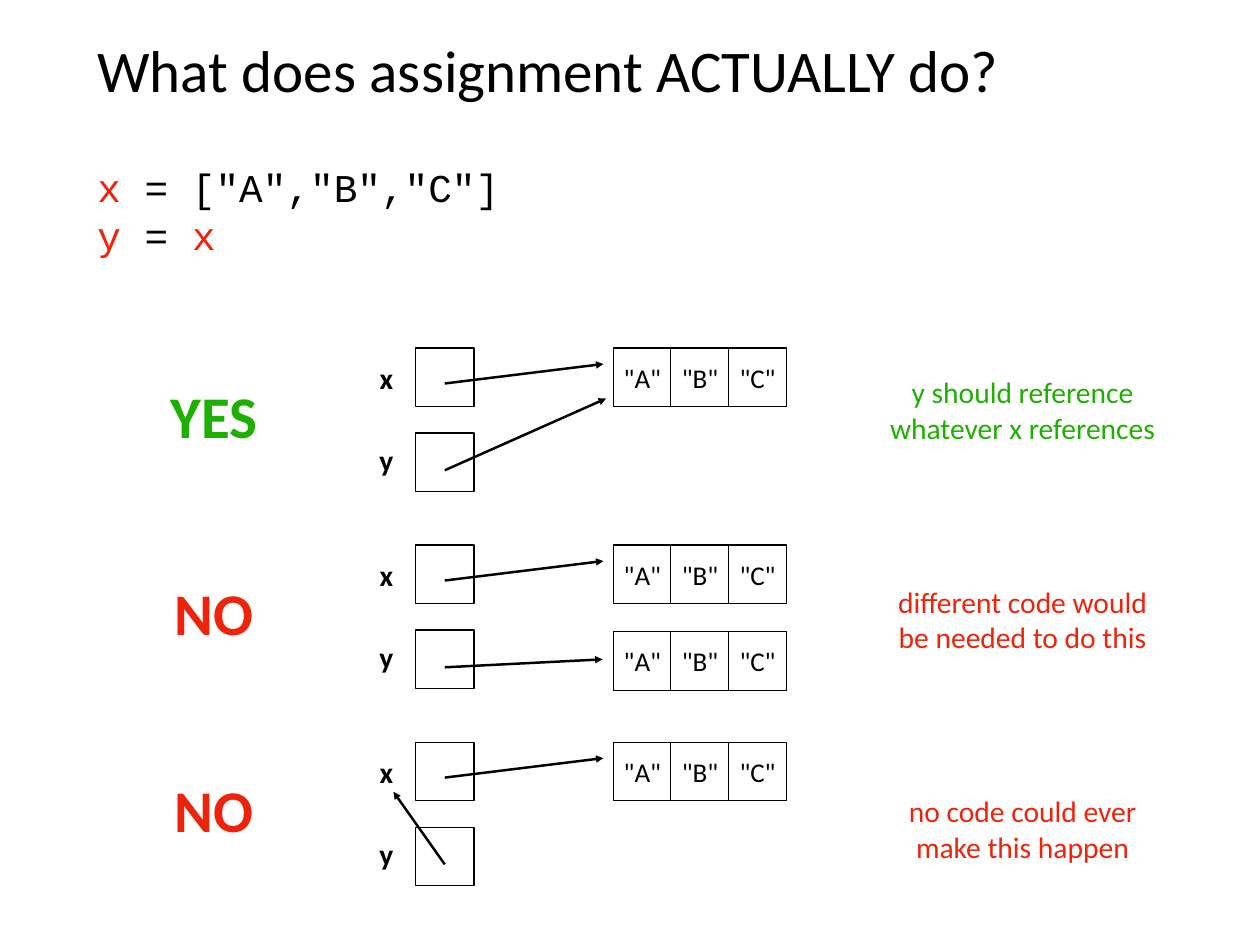
from dataclasses import dataclass

from lxml import etree
from pptx import Presentation
from pptx.dml.color import RGBColor
from pptx.enum.shapes import MSO_CONNECTOR, MSO_SHAPE
from pptx.enum.text import MSO_ANCHOR, PP_ALIGN
from pptx.oxml.ns import qn
from pptx.util import Inches, Pt

RECTANGLE = MSO_SHAPE.RECTANGLE
STRAIGHT = MSO_CONNECTOR.STRAIGHT
TOP, MIDDLE = MSO_ANCHOR.TOP, MSO_ANCHOR.MIDDLE
LEFT, CENTER = PP_ALIGN.LEFT, PP_ALIGN.CENTER


@dataclass(frozen=True)
class Theme:
    black: RGBColor = RGBColor(0x00, 0x00, 0x00)
    white: RGBColor = RGBColor(0xFF, 0xFF, 0xFF)
    red: RGBColor = RGBColor(0xEE, 0x23, 0x0C)
    green: RGBColor = RGBColor(0x1E, 0xB0, 0x01)
    font: str = "Calibri"
    code_font: str = "Courier New"
    heading: int = 48
    code: int = 32
    body: int = 24
    item: int = 22
    code_pitch: int = 39
    inset: float = 0.06


THEME = Theme()

TITLE = "What does assignment ACTUALLY do?"
CODE = [
    [("x", THEME.red), (' = ["A","B","C"]', THEME.black)],
    [("y", THEME.red), (" = ", THEME.black), ("x", THEME.red)],
]
ITEMS = ['"A"', '"B"', '"C"']
VARIABLES = ["x", "y"]
CASES = [
    ("YES", THEME.green, ["y should reference", "whatever x references"], 1, (6.84, 0.57)),
    ("NO", THEME.red, ["different code would", "be needed to do this"], 2, (6.80, 1.29)),
    ("NO", THEME.red, ["no code could ever", "make this happen"], 1, (4.44, 0.56)),
]

SLIDE_W, SLIDE_H = 14.22, 10.67
MARGIN, CONTENT_W = 1.04, 12.14
CASE_TOP, CASE_PITCH = 3.93, 2.225
NOTE_TOP, NOTE_PITCH = 4.18, 2.365
CELL, ITEM_PITCH = 0.66, 0.65
VARIABLE_PITCH, LABEL_PITCH, LIST_PITCH = 0.96, 0.93, 0.98
VARIABLE_LEFT, LIST_LEFT = 4.69, 6.92
VERDICT_CENTER, LABEL_CENTER, NOTE_CENTER = 2.42, 4.36, 11.54
ARROW_LEFT = VARIABLE_LEFT + CELL / 2
X_START, Y_START, X_TARGET = 0.40, 1.38, (6.81, 0.18)


def write(frame, lines, size, color, align=CENTER, anchor=MIDDLE, bold=False):
    frame.margin_left = frame.margin_right = Inches(THEME.inset)
    frame.margin_top = frame.margin_bottom = Inches(THEME.inset)
    frame.vertical_anchor = anchor
    for index, line in enumerate(lines):
        paragraph = frame.add_paragraph() if index else frame.paragraphs[0]
        paragraph.alignment = align
        paragraph.font.name = THEME.font
        paragraph.font.size = Pt(size)
        paragraph.font.bold = bold
        paragraph.font.color.rgb = color
        paragraph.add_run().text = line


def add_text(slide, left, top, width, height, lines, size, color, **style):
    frame = slide.shapes.add_textbox(*map(Inches, (left, top, width, height))).text_frame
    frame.word_wrap = True
    write(frame, lines, size, color, **style)


def add_centered(slide, center, top, width, height, lines, size, color, bold=False):
    add_text(slide, center - width / 2, top, width, height, lines, size, color, bold=bold)


def add_code(slide):
    frame = slide.shapes.add_textbox(*map(Inches, (MARGIN, 1.77, CONTENT_W, 1.5))).text_frame
    frame.word_wrap = True
    write(frame, [""] * len(CODE), THEME.code, THEME.black, align=LEFT, anchor=TOP)
    for paragraph, tokens in zip(frame.paragraphs, CODE):
        paragraph.clear()
        paragraph.font.name = THEME.code_font
        paragraph.line_spacing = Pt(THEME.code_pitch)
        for token, color in tokens:
            run = paragraph.add_run()
            run.text = token
            run.font.color.rgb = color


def add_cell(slide, left, top, item=None):
    cell = slide.shapes.add_shape(RECTANGLE, *map(Inches, (left, top, CELL, CELL)))
    cell.shadow.inherit = False
    cell.fill.solid()
    cell.fill.fore_color.rgb = THEME.white
    cell.line.color.rgb = THEME.black
    cell.line.width = Pt(1)
    if item:
        write(cell.text_frame, [item], THEME.item, THEME.black)


def add_arrow(slide, start, end):
    arrow = slide.shapes.add_connector(STRAIGHT, *map(Inches, (*start, *end)))
    arrow.line.color.rgb = THEME.black
    arrow.line.width = Pt(2)
    etree.SubElement(arrow.line._get_or_add_ln(), qn("a:tailEnd"), type="triangle")
    etree.SubElement(arrow._element.spPr, qn("a:effectLst"))


def add_case(slide, index, verdict, color, note, list_count, y_target):
    top = CASE_TOP + index * CASE_PITCH
    add_centered(slide, VERDICT_CENTER, top + 0.31, 1.46, 0.88,
                 [verdict], THEME.heading, color, bold=True)
    for row, variable in enumerate(VARIABLES):
        add_centered(slide, LABEL_CENTER, top + 0.08 + row * LABEL_PITCH, 0.33, 0.5,
                     [variable], THEME.body, THEME.black, bold=True)
        add_cell(slide, VARIABLE_LEFT, top + row * VARIABLE_PITCH)
    for row in range(list_count):
        for column, item in enumerate(ITEMS):
            add_cell(slide, LIST_LEFT + column * ITEM_PITCH, top + row * LIST_PITCH, item)
    for start, (target_left, target_top) in ((X_START, X_TARGET), (Y_START, y_target)):
        add_arrow(slide, (ARROW_LEFT, top + start), (target_left, top + target_top))
    add_centered(slide, NOTE_CENTER, NOTE_TOP + index * NOTE_PITCH, 3.3, 0.89,
                 note, THEME.body, color)


def main():
    deck = Presentation()
    deck.slide_width, deck.slide_height = Inches(SLIDE_W), Inches(SLIDE_H)
    slide = deck.slides.add_slide(deck.slide_layouts[6])
    add_text(slide, MARGIN, 0.28, CONTENT_W, 0.99, [TITLE],
             THEME.heading, THEME.black, align=LEFT)
    add_code(slide)
    for index, case in enumerate(CASES):
        add_case(slide, index, *case)
    deck.save("out.pptx")


if __name__ == "__main__":
    main()
